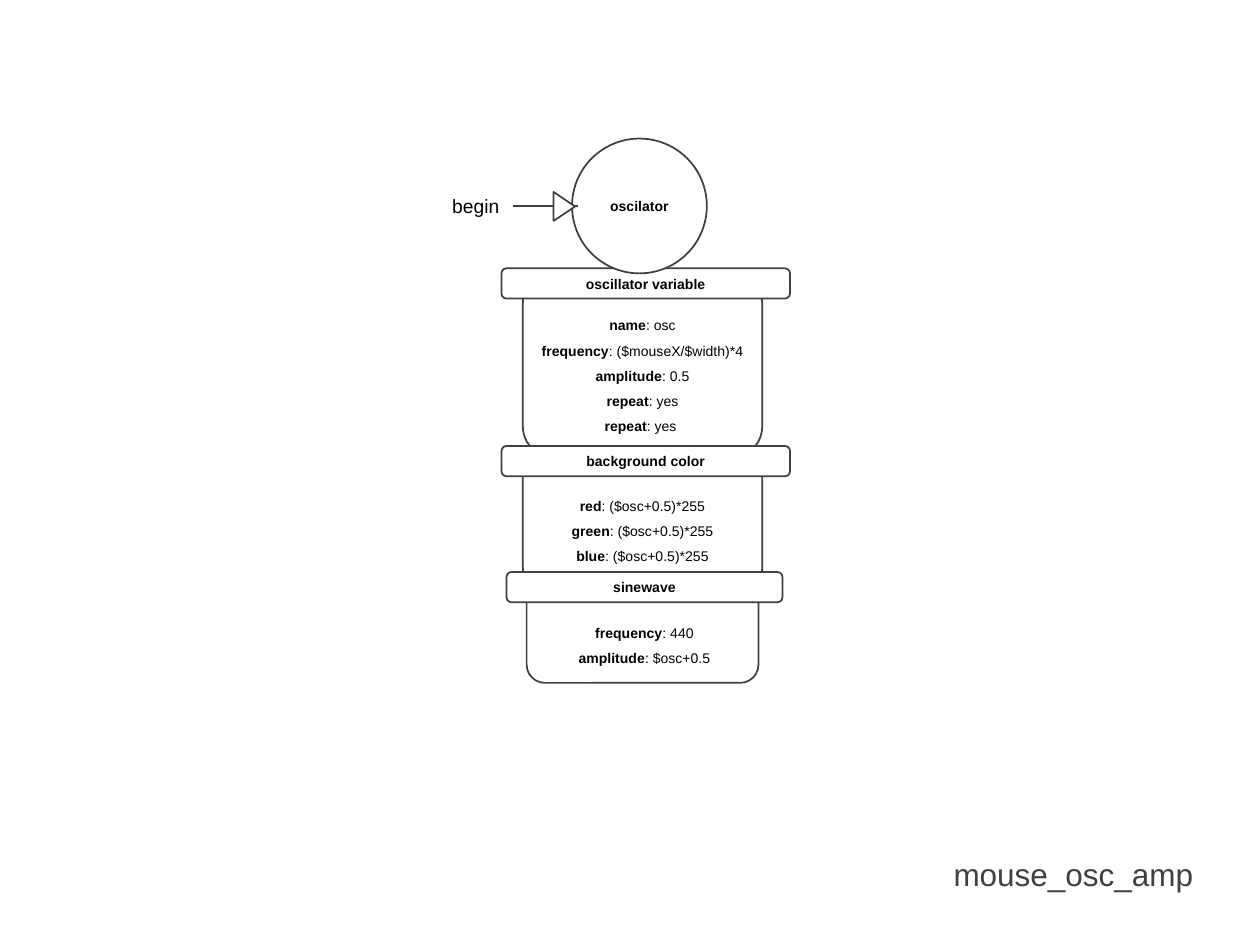
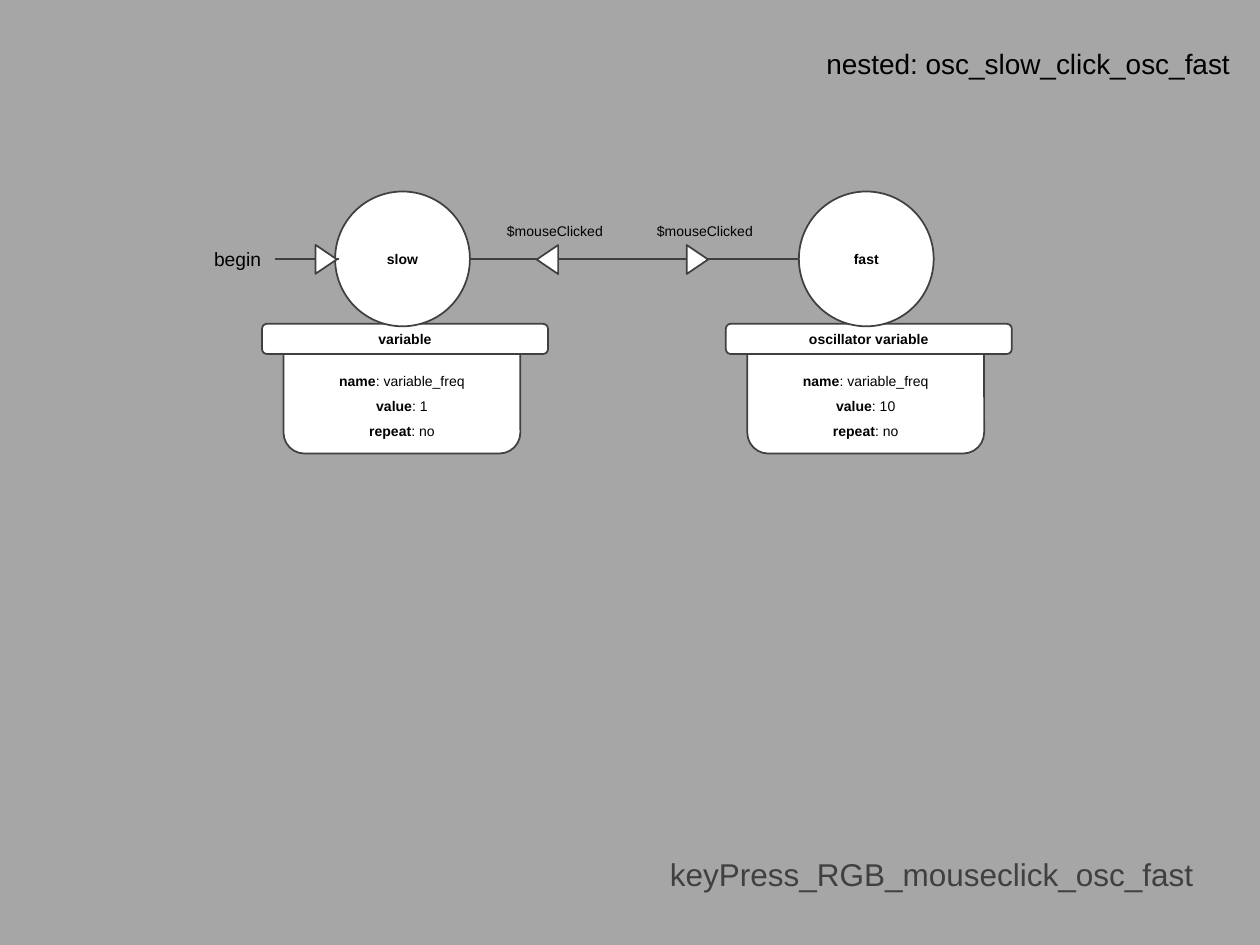
"""Draw two state diagrams of an oscillator sketch."""
from dataclasses import dataclass

from lxml.etree import SubElement
from pptx import Presentation
from pptx.dml.color import RGBColor
from pptx.enum.shapes import MSO_CONNECTOR, MSO_SHAPE
from pptx.enum.text import MSO_ANCHOR, PP_ALIGN
from pptx.oxml.ns import qn
from pptx.util import Pt


@dataclass(frozen=True)
class Theme:
    font: str = "Arial"
    black: RGBColor = RGBColor(0x00, 0x00, 0x00)
    dark: RGBColor = RGBColor(0x40, 0x40, 0x40)
    white: RGBColor = RGBColor(0xFF, 0xFF, 0xFF)
    gray: RGBColor = RGBColor(0xA6, 0xA6, 0xA6)
    small: int = 8
    label: int = 11
    heading: int = 16
    footer: int = 18
    line: int = 1


T = Theme()


def write(shape, lines, size=T.small, color=T.black, bold=False, align=PP_ALIGN.CENTER,
          spacing=None, anchor=MSO_ANCHOR.TOP, wrap=True, bold_keys=False):
    tf = shape.text_frame
    tf.word_wrap = wrap
    tf.vertical_anchor = anchor
    for i, line in enumerate(lines):
        p = tf.paragraphs[0] if i == 0 else tf.add_paragraph()
        p.alignment = align
        if spacing:
            p.line_spacing = spacing
        key, colon, value = line.partition(":") if bold_keys else (line, "", "")
        for text, is_bold in ((key, bold or bold_keys), (colon + value, False)):
            if text:
                r = p.add_run()
                r.text = text
                r.font.name = T.font
                r.font.size = Pt(size)
                r.font.bold = is_bold
                r.font.color.rgb = color


def draw(s, kind, box, rotation=0):
    box = [Pt(v) for v in box]
    if kind == MSO_CONNECTOR.STRAIGHT:
        sp = s.shapes.add_connector(kind, *box)
        SubElement(sp._element.spPr, qn("a:effectLst"))
    else:
        sp = s.shapes.add_shape(kind, *box)
        sp.shadow.inherit = False
        sp.fill.solid()
        sp.fill.fore_color.rgb = T.white
        sp.rotation = rotation
    sp.line.color.rgb = T.dark
    sp.line.width = Pt(T.line)
    return sp


BAR_H, CIRCLE, TRI_W, TRI_H = 17.28, 77.04, 16.56, 12.24
STATE_GAP = 265
FAST_X = 191.52 + STATE_GAP

slides = [
    {
        "background": T.white,
        "footer": "mouse_osc_amp",
        "begin": (251.28, 107.28),
        "circles": [("oscilator", 326.88, 79.2)],
        "modules": [
            ("oscillator variable", (286.56, 153.36, 164.88), (298.8, 155.52, 136.8, 105.84),
             (298.8, 172.8, 136.8),
             ["name: osc", "frequency: ($mouseX/$width)*4", "amplitude: 0.5", "repeat: yes",
              "repeat: yes "]),
            ("background color", (286.56, 254.88, 164.88), (298.8, 257.04, 136.8, 80.64),
             (298.8, 275.76, 136.8),
             [f"{channel}: ($osc+0.5)*255" for channel in ("red", "green", "blue")]),
            ("sinewave", (289.44, 326.88, 157.68), (300.96, 327.6, 132.48, 62.64),
             (303.12, 348.48, 130.32),
             ["frequency: 440", "amplitude: $osc+0.5"]),
        ],
        "transitions": [],
    },
    {
        "background": T.gray,
        "heading": "nested: osc_slow_click_osc_fast",
        "footer": "keyPress_RGB_mouseclick_osc_fast",
        "begin": (115.2, 137.52),
        "circles": [("slow", 191.52, 109.44), ("fast", FAST_X, 109.44)],
        "modules": [
            (title, (149.76 + dx, 185.04, 163.44), (162 + dx, 187.2, 135.36, 72),
             (162 + dx, 204.48, 135.36),
             ["name: variable_freq", f"value: {value}", "repeat: no"])
            for title, value, dx in (("variable", 1, 0), ("oscillator variable", 10, STATE_GAP))
        ],
        "transitions": [(390.24, 356.4, 90), (304.56, 270.72, 270)],
    },
]

prs = Presentation()
prs.slide_width, prs.slide_height = Pt(720), Pt(540)

for spec_ in slides:
    s = prs.slides.add_slide(prs.slide_layouts[6])
    s.background.fill.solid()
    s.background.fill.fore_color.rgb = spec_["background"]

    for title, bar, body, details, lines in spec_["modules"]:
        draw(s, MSO_SHAPE.ROUNDED_RECTANGLE, body)
        sp = draw(s, MSO_SHAPE.ROUNDED_RECTANGLE, (*bar, BAR_H))
        write(sp, [title], bold=True, anchor=MSO_ANCHOR.MIDDLE)
        tb = s.shapes.add_textbox(*[Pt(v) for v in details], Pt(7.2 + 14.2 * len(lines)))
        write(tb, lines, spacing=1.5, bold_keys=True)

    for name, x, y in spec_["circles"]:
        sp = draw(s, MSO_SHAPE.OVAL, (x, y, CIRCLE, CIRCLE))
        write(sp, [name], bold=True, anchor=MSO_ANCHOR.MIDDLE)

    if spec_["transitions"]:
        draw(s, MSO_CONNECTOR.STRAIGHT, (191.52 + CIRCLE, 148.2, FAST_X, 148.2))
    for tri_x, label_x, rotation in spec_["transitions"]:
        draw(s, MSO_SHAPE.ISOSCELES_TRIANGLE, (tri_x, 142.2, TRI_W, TRI_H), rotation)
        tb = s.shapes.add_textbox(Pt(label_x), Pt(118.8), Pt(92.88), Pt(20.88))
        write(tb, ["$mouseClicked"], spacing=1.5)

    x, y = spec_["begin"]
    draw(s, MSO_CONNECTOR.STRAIGHT, (x + 41.76, y + 10.4, x + 78.8, y + 10.4))
    draw(s, MSO_SHAPE.ISOSCELES_TRIANGLE, (x + 62.9, y + 4.6, TRI_W, TRI_H), 90)
    tb = s.shapes.add_textbox(Pt(x), Pt(y), Pt(41.76), Pt(20.88))
    write(tb, ["begin"], size=T.label, align=PP_ALIGN.LEFT, wrap=False)

    if "heading" in spec_:
        tb = s.shapes.add_textbox(Pt(226.08), Pt(13.68), Pt(483.84), Pt(34.56))
        write(tb, [spec_["heading"]], size=T.heading, align=PP_ALIGN.RIGHT, spacing=1.5)
    tb = s.shapes.add_textbox(Pt(141.12), Pt(474.48), Pt(547.92), Pt(38.16))
    write(tb, [spec_["footer"]], size=T.footer, color=T.dark, align=PP_ALIGN.RIGHT, spacing=1.5)

prs.save("out.pptx")
